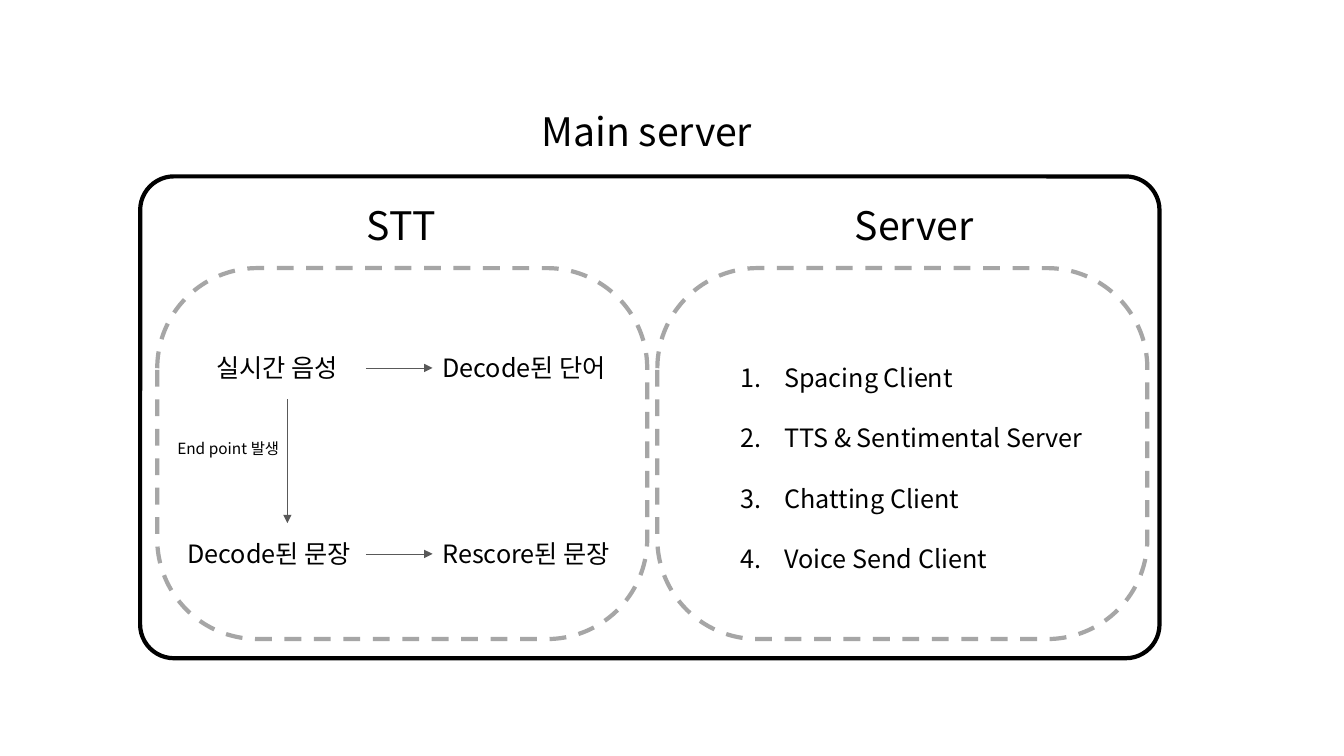
from dataclasses import dataclass

from pptx import Presentation
from pptx.dml.color import RGBColor
from pptx.enum.dml import MSO_LINE
from pptx.enum.shapes import MSO_CONNECTOR, MSO_SHAPE
from pptx.enum.text import MSO_ANCHOR, MSO_AUTO_SIZE, PP_ALIGN
from pptx.oxml.ns import qn
from pptx.oxml.xmlchemy import OxmlElement
from pptx.util import Inches, Pt


@dataclass(frozen=True)
class Theme:
    font: str = "Noto Sans CJK KR"
    ink: RGBColor = RGBColor(0, 0, 0)
    paper: RGBColor = RGBColor(255, 255, 255)
    dash: RGBColor = RGBColor(0xA6, 0xA6, 0xA6)
    arrow: RGBColor = RGBColor(0x59, 0x59, 0x59)
    heading: float = 28
    body: float = 18
    label: float = 11
    border: float = 3
    thin: float = 0.5


THEME = Theme()
CELL = Inches(0.1)  # one column or row of the slide grid


@dataclass(frozen=True)
class Box:
    """An area of the slide, counted in grid columns and rows."""
    left: float
    top: float
    width: float
    height: float

    def inside(self, left, top, width, height):
        return Box(self.left + left, self.top + top, width, height)

    def lengths(self):
        return [round(value * CELL) for value in
                (self.left, self.top, self.width, self.height)]


def set_values(target, values):
    for name, value in values.items():
        setattr(target, name, value)


def add_element(parent, tag, **attributes):
    element = OxmlElement(tag)
    for name, value in attributes.items():
        element.set(name, value)
    parent.append(element)


# Building parts
def format_text(shape, lines, size, spacing=1.0):
    frame = shape.text_frame
    set_values(frame, {
        "text": "\n".join(lines), "word_wrap": True, "margin_right": 0,
        "vertical_anchor": MSO_ANCHOR.TOP,
        "auto_size": MSO_AUTO_SIZE.SHAPE_TO_FIT_TEXT})
    for paragraph in frame.paragraphs:
        set_values(paragraph, {"alignment": PP_ALIGN.LEFT,
                               "line_spacing": spacing, "space_before": Pt(0)})
        for run in paragraph.runs:
            set_values(run.font, {"name": THEME.font, "size": Pt(size)})
            run.font.color.rgb = THEME.ink
            add_element(run._r.get_or_add_rPr(), "a:ea", typeface=THEME.font)


def add_text(slide, box, text, size):
    format_text(slide.shapes.add_textbox(*box.lengths()), [text], size)


def fill_placeholder(placeholder, box, lines, size, spacing=1.0):
    names = ("left", "top", "width", "height")
    set_values(placeholder, dict(zip(names, box.lengths())))
    format_text(placeholder, lines, size, spacing)
    # Bring the placeholder in front of the filled outlines
    placeholder.element.getparent().append(placeholder.element)


def add_outline(slide, box, rounding, color, dash_style=None):
    outline = slide.shapes.add_shape(MSO_SHAPE.ROUNDED_RECTANGLE, *box.lengths())
    outline.adjustments[0] = rounding
    outline.shadow.inherit = False
    outline.fill.solid()
    outline.fill.fore_color.rgb = THEME.paper
    set_values(outline.line, {"width": Pt(THEME.border), "dash_style": dash_style})
    outline.line.color.rgb = color


def add_arrow(slide, box):
    left, top, width, height = box.lengths()
    arrow = slide.shapes.add_connector(
        MSO_CONNECTOR.STRAIGHT, left, top, left + width, top + height)
    arrow.line.width = Pt(THEME.thin)
    arrow.line.color.rgb = THEME.arrow
    properties = arrow.element.spPr
    add_element(properties.find(qn("a:ln")), "a:tailEnd", type="triangle")
    add_element(properties, "a:effectLst")


def add_panel(slide, box, heading, heading_left, heading_width):
    add_outline(slide, box, 0.27, THEME.dash, MSO_LINE.DASH)
    add_text(slide, box.inside(heading_left, -7.1, heading_width, 5.7),
             heading, THEME.heading)


# Regions of the slide
def build_stt(slide, box):
    add_panel(slide, box, "STT", 19.8, 8.9)
    rows = [(7.9, 4.9, "실시간 음성", "Decode된 단어"),
            (26.35, 2, "Decode된 문장", "Rescore된 문장")]
    for top, left, source, result in rows:
        add_text(slide, box.inside(left, top, 19.7, 4), source, THEME.body)
        add_text(slide, box.inside(27.3, top, 19.7, 4), result, THEME.body)
        add_arrow(slide, box.inside(20.7, top + 2, 6.6, 0))
    add_arrow(slide, box.inside(12.9, 13, 0, 12.3))
    add_text(slide, box.inside(1, 16.5, 15.1, 2.9), "End point 발생", THEME.label)


def build_server(slide, box):
    add_panel(slide, box, "Server", 18.6, 13.8)
    clients = ["Spacing Client", "TTS & Sentimental Server",
               "Chatting Client", "Voice Send Client"]
    body = slide.placeholders[1]
    fill_placeholder(body, box.inside(7.2, 5.8, 36.6, 24.3), clients,
                     THEME.body, spacing=2.0)
    indent = Inches(0.44)
    for paragraph in body.text_frame.paragraphs:
        properties = paragraph._p.get_or_add_pPr()
        properties.set("marL", str(indent))
        properties.set("indent", str(-indent))
        add_element(properties, "a:buFont", typeface="+mj-lt")
        add_element(properties, "a:buAutoNum", type="arabicPeriod")


def build_main_server(slide, box):
    add_outline(slide, box, 0.07, THEME.ink)
    fill_placeholder(slide.shapes.title, box.inside(38.8, -7.4, 23.4, 5.7),
                     ["Main server"], THEME.heading)
    panel_width, gap = 48.6, 1
    for index, build in enumerate((build_stt, build_server)):
        left = 1.7 + index * (panel_width + gap)
        build(slide, box.inside(left, 9.1, panel_width, 36.8))


presentation = Presentation()
set_values(presentation, {"slide_width": Inches(13.33),
                          "slide_height": Inches(7.5)})
main_slide = presentation.slides.add_slide(presentation.slide_layouts[1])
build_main_server(main_slide, Box(13.9, 17.5, 101.1, 47.8))
presentation.save("out.pptx")
